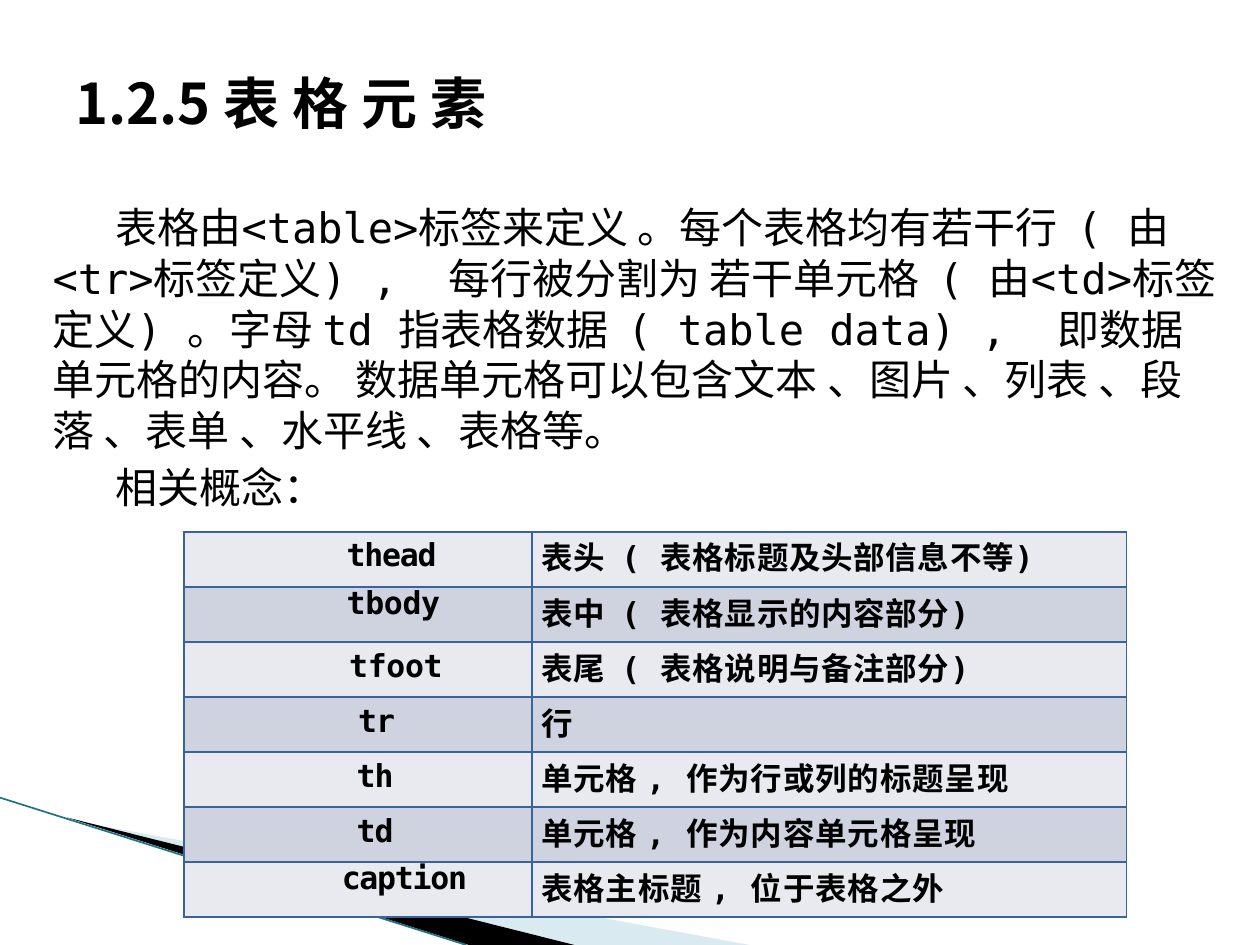
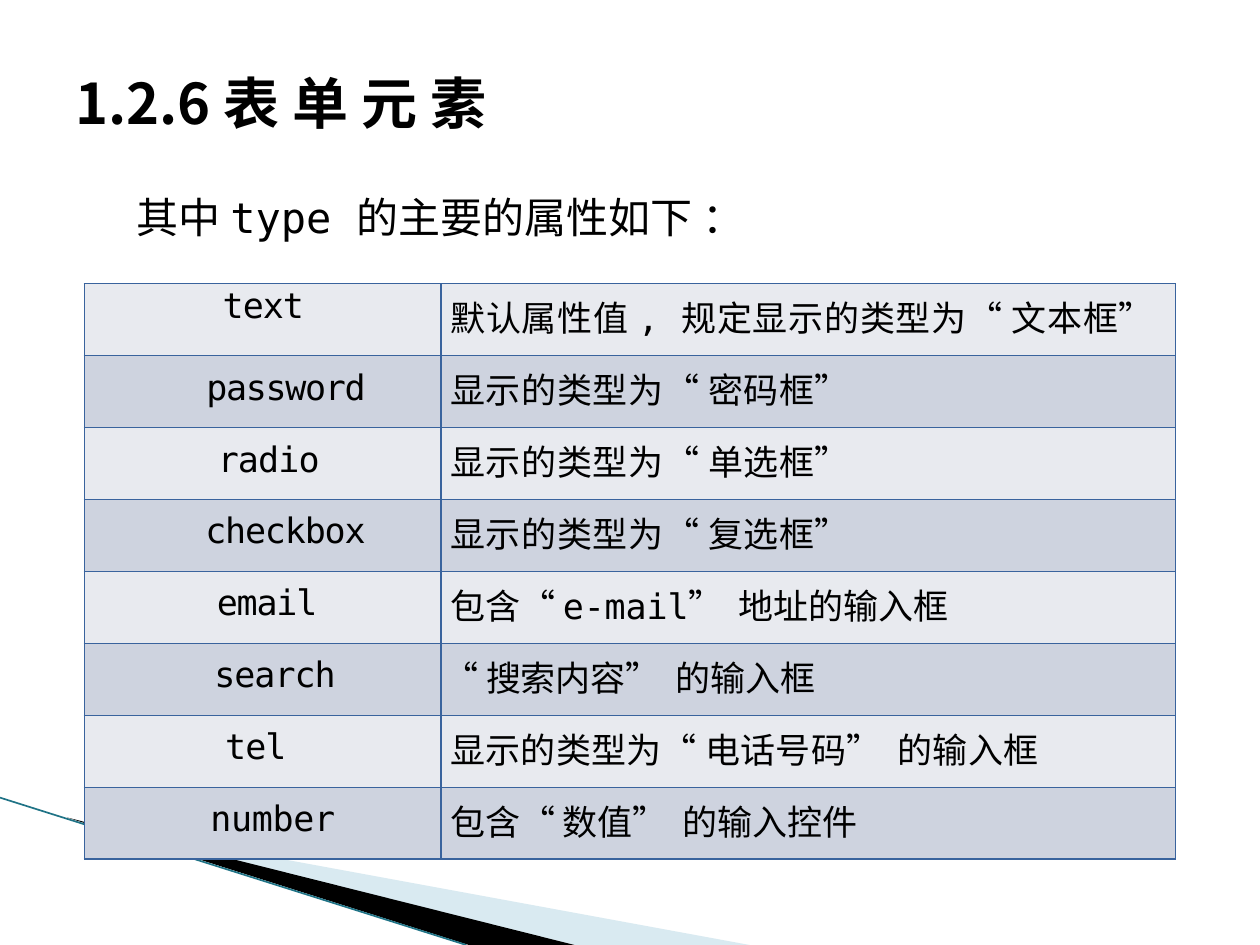
from lxml.etree import SubElement
from pptx import Presentation
from pptx.dml.color import RGBColor
from pptx.enum.shapes import MSO_CONNECTOR
from pptx.enum.text import MSO_ANCHOR
from pptx.oxml.ns import qn
from pptx.util import Cm, Pt

MONO, CJK = "DejaVu Sans Mono", "Noto Sans CJK SC"
INK, BORDER = "000000", "39639D"
ROW_FILLS = ("E8EAEF", "CED3DF")
WEDGE, RIBBON, RIBBON_EDGE = "A0CBDC", "000000", "1F7386"

# term, its indent in cm, its letter spacing, meaning, its letter spacing
TABLE_TAGS = [
    ("thead", 3.28, -0.7, "表头  ( 表格标题及头部信息不等)", 0.4),
    ("tbody", 3.28, -0.2, "表中  ( 表格显示的内容部分)", 0.4),
    ("tfoot", 3.33, -0.2, "表尾  ( 表格说明与备注部分)", 0.4),
    ("tr", 3.51, -0.5, "行", 0.1),
    ("th", 3.48, -0.5, "单元格 , 作为行或列的标题呈现", 0.5),
    ("td", 3.48, -0.5, "单元格 , 作为内容单元格呈现", 0.5),
    ("caption", 3.18, -0.7, "表格主标题 , 位于表格之外", 0.5),
]
INPUT_TYPES = [
    ("text", 2.79, -0.6, "默认属性值 , 规定显示的类型为“ 文本框”", 0.4),
    ("password", 2.46, -0.8, "显示的类型为“ 密码框”", 0.3),
    ("radio", 2.69, -0.5, "显示的类型为“ 单选框”", 0.3),
    ("checkbox", 2.44, -0.7, "显示的类型为“ 复选框”", 0.3),
    ("email", 2.67, -0.7, "包含“ e-mail”  地址的输入框", -0.1),
    ("search", 2.62, -0.6, "“ 搜索内容”  的输入框", -0.1),
    ("tel", 2.84, -0.6, "显示的类型为“ 电话号码”  的输入框", 0.1),
    ("number", 2.54, -0.2, "包含“ 数值”  的输入控件", -0.1),
]
# Terms set on a tight exact line, so they sit high in their cell
RAISED_TERMS = {"tbody", "caption", "text"}

TABLE_INTRO = [
    "表格由<table>标签来定义 。每个表格均有若干行  ( 由<tr>标签定义) ,  "
    "每行被分割为 若干单元格  ( 由<td>标签定义) 。字母 td 指表格数据  "
    "( table data) ,  即数据单元格的内容。 数据单元格可以包含文本 、图片 、"
    "列表 、段落 、表单 、水平线 、表格等。",
    "相关概念：",
]


def rgb(hex_color):
    return RGBColor.from_string(hex_color)


class Deck:
    def __init__(self):
        self.prs = Presentation()
        self.prs.slide_width, self.prs.slide_height = Cm(25.4), Cm(19.05)
        self.slide = None

    def new_slide(self, title):
        self.slide = self.prs.slides.add_slide(self.prs.slide_layouts[6])
        self.wedge([(1.4, 16.53), (15.11, 19.05), (11.58, 19.05)], WEDGE, 40)
        self.wedge([(1.35, 16.48), (11.58, 19.05), (9.45, 19.05)], RIBBON)
        self.edge((0, 16.08), (9.4, 19.05))
        frame = self.text_frame(1.27, 0.76, 22.86, 2.59)
        frame.vertical_anchor = MSO_ANCHOR.MIDDLE
        self.run(frame.paragraphs[0], title, 32, font=CJK, bold=True)

    def wedge(self, corners, color, opacity=100):
        points = [(Cm(x), Cm(y)) for x, y in corners]
        builder = self.slide.shapes.build_freeform(*points[0])
        builder.add_line_segments(points[1:])
        shape = builder.convert_to_shape()
        shape.shadow.inherit = False
        shape.line.fill.background()
        shape.fill.solid()
        shape.fill.fore_color.rgb = rgb(color)
        if opacity < 100:
            tint = shape.fill._xPr.find(".//" + qn("a:srgbClr"))
            SubElement(tint, qn("a:alpha"), val=str(opacity * 1000))

    def edge(self, start, end):
        line = self.slide.shapes.add_connector(
            MSO_CONNECTOR.STRAIGHT, *(Cm(v) for v in start + end))
        line.line.color.rgb = rgb(RIBBON_EDGE)
        line.line.width = Pt(0.95)
        SubElement(line._element.spPr, qn("a:effectLst"))

    def text_frame(self, left, top, width, height):
        box = self.slide.shapes.add_textbox(
            Cm(left), Cm(top), Cm(width), Cm(height))
        box.text_frame.word_wrap = True
        return box.text_frame

    def run(self, paragraph, text, size, font=MONO, bold=False, spacing=0):
        run = paragraph.add_run()
        run.text = text
        run.font.size, run.font.bold = Pt(size), bold
        run.font.color.rgb = rgb(INK)
        run.font.name = font
        props = run._r.get_or_add_rPr()
        props.set("spc", str(round(spacing * 100)))
        SubElement(props, qn("a:ea"), typeface=CJK)

    def indent(self, paragraph, left, first=0):
        props = paragraph._p.get_or_add_pPr()
        props.set("marL", str(Cm(left)))
        props.set("indent", str(Cm(first)))

    def body(self, texts, left, top, width, height, margin=0):
        frame = self.text_frame(left, top, width, height)
        for i, text in enumerate(texts):
            paragraph = frame.add_paragraph() if i else frame.paragraphs[0]
            self.indent(paragraph, margin, 1.27)
            paragraph.line_spacing = Pt(28.9)
            paragraph.space_before = Pt(4 if i else 0)
            self.run(paragraph, text, 24)

    def glossary(self, rows, left, top, col_widths, row_height, size, bold=False):
        """Two-column table of terms and their meanings."""
        table = self.slide.shapes.add_table(
            len(rows), 2, Cm(left), Cm(top), Cm(sum(col_widths)),
            Cm(row_height * len(rows))).table
        table.first_row = table.horz_banding = False
        for column, width in zip(table.columns, col_widths):
            column.width = Cm(width)
        for i, (term, term_indent, term_spc, meaning, meaning_spc) in enumerate(rows):
            table.rows[i].height = Cm(row_height)
            term_line = Pt(8.2) if term in RAISED_TERMS else 0.69
            meaning_indent = 0.05 if meaning.startswith("“") else 0.19
            entries = ((term, term_indent, term_spc, term_line, 6.8),
                       (meaning, meaning_indent, meaning_spc, 0.78, 5.5))
            for j, (text, margin, spacing, line, before) in enumerate(entries):
                cell = table.cell(i, j)
                self.style_cell(cell, ROW_FILLS[i % 2])
                paragraph = cell.text_frame.paragraphs[0]
                self.indent(paragraph, margin)
                paragraph.line_spacing = line
                paragraph.space_before = Pt(before)
                self.run(paragraph, text, size, bold=bold, spacing=spacing)

    def style_cell(self, cell, fill):
        cell.margin_left = cell.margin_right = 0
        cell.margin_top = cell.margin_bottom = 0
        cell.vertical_anchor = MSO_ANCHOR.MIDDLE
        props = cell._tc.get_or_add_tcPr()
        for side in ("lnL", "lnR", "lnT", "lnB"):
            border = SubElement(props, qn("a:" + side), w=str(Pt(1)))
            solid = SubElement(border, qn("a:solidFill"))
            SubElement(solid, qn("a:srgbClr"), val=BORDER)
        cell.fill.solid()
        cell.fill.fore_color.rgb = rgb(fill)


def main():
    deck = Deck()

    deck.new_slide("1.2.5 表 格 元 素")
    deck.body(TABLE_INTRO, 0.51, 3.94, 24.41, 5.59, margin=0.3)
    deck.glossary(TABLE_TAGS, 3.71, 10.72, (7.01, 11.99), 1.11, 18, bold=True)

    deck.new_slide("1.2.6 表 单 元 素")
    deck.body(["其中 type 的主要的属性如下 ："], 1.24, 3.73, 22.91, 1.4)
    deck.glossary(INPUT_TYPES, 1.7, 5.72, (7.19, 14.81), 1.45, 20)

    deck.prs.save("out.pptx")


if __name__ == "__main__":
    main()
